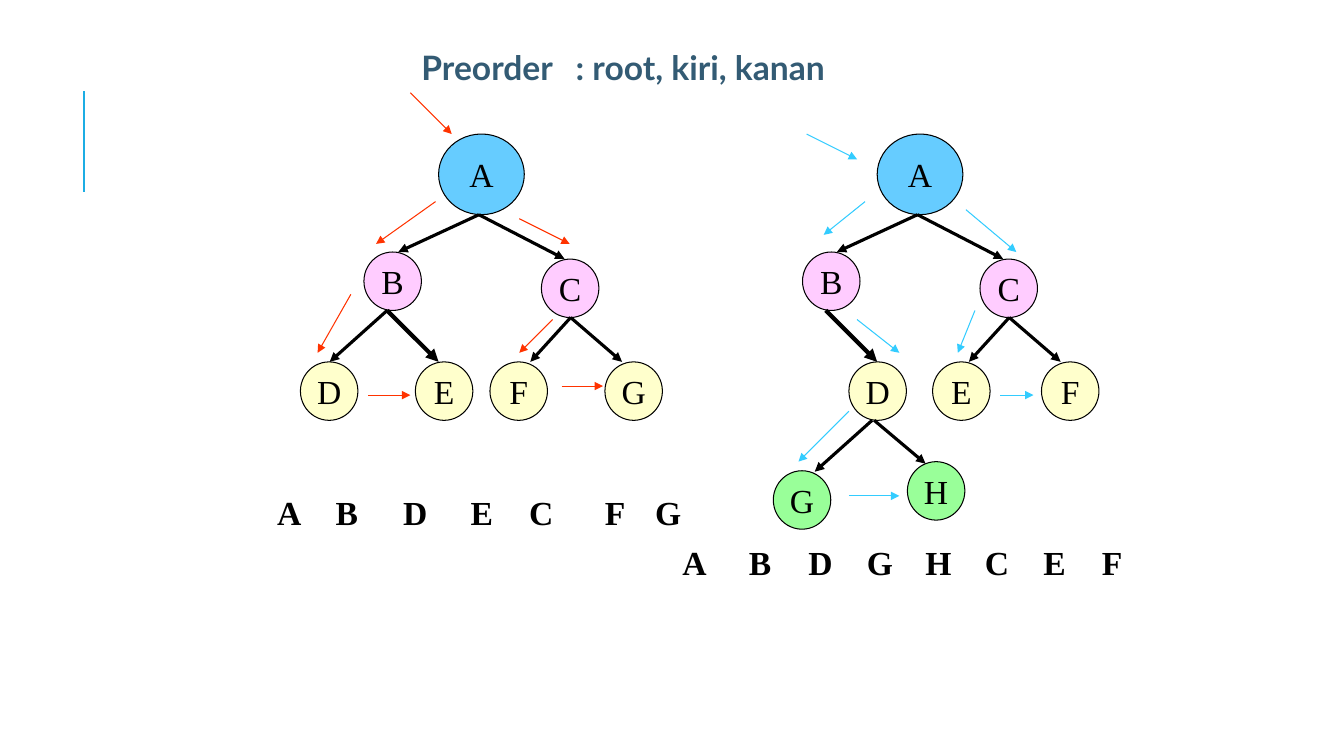
from lxml.etree import SubElement
from pptx import Presentation
from pptx.dml.color import RGBColor
from pptx.enum.shapes import MSO_CONNECTOR, MSO_SHAPE
from pptx.enum.text import MSO_ANCHOR, MSO_AUTO_SIZE, PP_ALIGN
from pptx.oxml.ns import qn
from pptx.util import Pt

PX = 9144  # EMU per px, 100 px to the inch
SERIF = "Times New Roman"
HUE = {
    "ink": "000000", "title": "335B74", "rule": "1CADE4",
    "left": "FF3300", "right": "33CCFF",
    "root": "66CCFF", "branch": "FFCCFF", "leaf": "FFFFCC", "deep": "99FF99",
}
SIZE = {"root": (85, 80), "branch": (57, 58), "leaf": (57, 58), "deep": (57, 58)}

# Parts found in both trees: (name, level, x, y) and (x1, y1, x2, y2, width)
TOP = [("A", "root", 205, 43), ("B", "branch", 131, 160), ("C", "branch", 307, 167)]
LINKS = [(245, 123, 165, 160, 2.25), (245, 123, 330, 167, 2.25),
         (154, 218, 205, 269, 3), (336, 225, 296, 269, 2.25),
         (336, 225, 387, 269, 2.25)]

# Boxes are left, top; all parts of a tree are relative to its box
TREES = [
    {
        "box": (230, 90), "hue": "left",
        "nodes": [("D", "leaf", 68, 269), ("E", "leaf", 182, 269),
                  ("F", "leaf", 256, 269), ("G", "leaf", 370, 269)],
        "links": [(154, 218, 97, 269, 2.25)],
        "walk": [(177, 2, 218, 43), (202, 110, 143, 152), (118, 202, 85, 260),
                 (135, 302, 177, 302), (285, 127, 335, 152),
                 (318, 227, 285, 260), (327, 293, 368, 293)],
        "order": "ABDECFG", "row": 393,
        "cols": [35, 93, 160, 227, 285, 360, 410],
    },
    {
        "box": (665, 90), "hue": "right",
        "nodes": [("D", "leaf", 177, 269), ("E", "leaf", 260, 269),
                  ("F", "leaf", 368, 269), ("G", "deep", 102, 377),
                  ("H", "deep", 235, 368)],
        "links": [(200, 327, 143, 378, 2.25), (202, 327, 253, 370, 2.25)],
        "walk": [(135, 43, 185, 68), (193, 110, 152, 143), (185, 227, 227, 260),
                 (177, 318, 127, 368), (177, 402, 227, 402),
                 (293, 118, 343, 160), (302, 218, 285, 260),
                 (327, 302, 360, 302)],
        "order": "ABDGHCEF", "row": 443,
        "cols": [2, 68, 127, 185, 243, 302, 360, 418],
    },
]


def px(*sides):
    return [side * PX for side in sides]


def tint(name):
    return RGBColor.from_string(HUE[name])


def style(para, face, hue, bold=False):
    para.font.name = face
    para.font.size = Pt(24)
    para.font.bold = bold
    para.font.color.rgb = tint(hue)


def stroke(home, ends, hue, width, arrow=True):
    line = home.add_connector(MSO_CONNECTOR.STRAIGHT, *px(*ends))
    line.line.color.rgb = tint(hue)
    line.line.width = Pt(width)
    props = line.element.spPr
    if arrow:
        SubElement(props.find(qn("a:ln")), qn("a:tailEnd"), type="triangle")
    SubElement(props, qn("a:effectLst"))


def node(home, name, level, x, y):
    disc = home.add_shape(MSO_SHAPE.OVAL, *px(x, y, *SIZE[level]))
    disc.shadow.inherit = False
    disc.fill.solid()
    disc.fill.fore_color.rgb = tint(level)
    disc.line.color.rgb = tint("ink")
    disc.line.width = Pt(0.75)
    frame = disc.text_frame
    frame.word_wrap = False
    frame.vertical_anchor = MSO_ANCHOR.MIDDLE
    para = frame.paragraphs[0]
    para.text = name
    para.alignment = PP_ALIGN.CENTER
    style(para, SERIF, "ink")


def letter(home, name, x, y):
    frame = home.add_textbox(*px(x, y, 50, 50)).text_frame
    frame.word_wrap = True
    para = frame.paragraphs[0]
    para.text = name
    style(para, SERIF, "ink", True)


def tree(slide, plan):
    home = slide.shapes.add_group_shape().shapes
    left, top = plan["box"]

    def shift(x1, y1, x2, y2):
        return left + x1, top + y1, left + x2, top + y2

    # Nodes and their links
    for name, level, x, y in TOP + plan["nodes"]:
        node(home, name, level, left + x, top + y)
    for *ends, width in LINKS + plan["links"]:
        stroke(home, shift(*ends), "ink", width)
    # Path of the visit
    for ends in plan["walk"]:
        stroke(home, shift(*ends), plan["hue"], 0.75)
    # Resulting order
    for name, x in zip(plan["order"], plan["cols"]):
        letter(home, name, left + x, top + plan["row"])


def head(slide, box):
    title = slide.shapes.title
    title.left, title.top, title.width, title.height = px(*box)
    frame = title.text_frame
    frame.word_wrap = True
    frame.auto_size = MSO_AUTO_SIZE.NONE
    frame.vertical_anchor = MSO_ANCHOR.TOP
    para = frame.paragraphs[0]
    para.text = "Preorder\t: root, kiri, kanan"
    para.alignment = PP_ALIGN.LEFT
    style(para, "Lato", "title", True)
    # Tab stop that lines up the colon
    props = para.runs[0].font and para.font and frame.paragraphs[0]
    tabs = SubElement(props.alignment is not None and title.element.find(
        ".//" + qn("a:pPr")), qn("a:tabLst"))
    tabs.getparent().insert(0, tabs)
    SubElement(tabs, qn("a:tab"), pos=str(153 * PX), algn="l")


def main():
    deck = Presentation()
    deck.slide_width, deck.slide_height = px(1333, 750)
    slide = deck.slides.add_slide(deck.slide_layouts[5])
    # Accent rule at the left edge
    stroke(slide.shapes, (83, 190, 83, 90), "rule", 1.5, arrow=False)
    head(slide, (408, 42, 508, 50))
    for plan in TREES:
        tree(slide, plan)
    deck.save("out.pptx")


if __name__ == "__main__":
    main()
